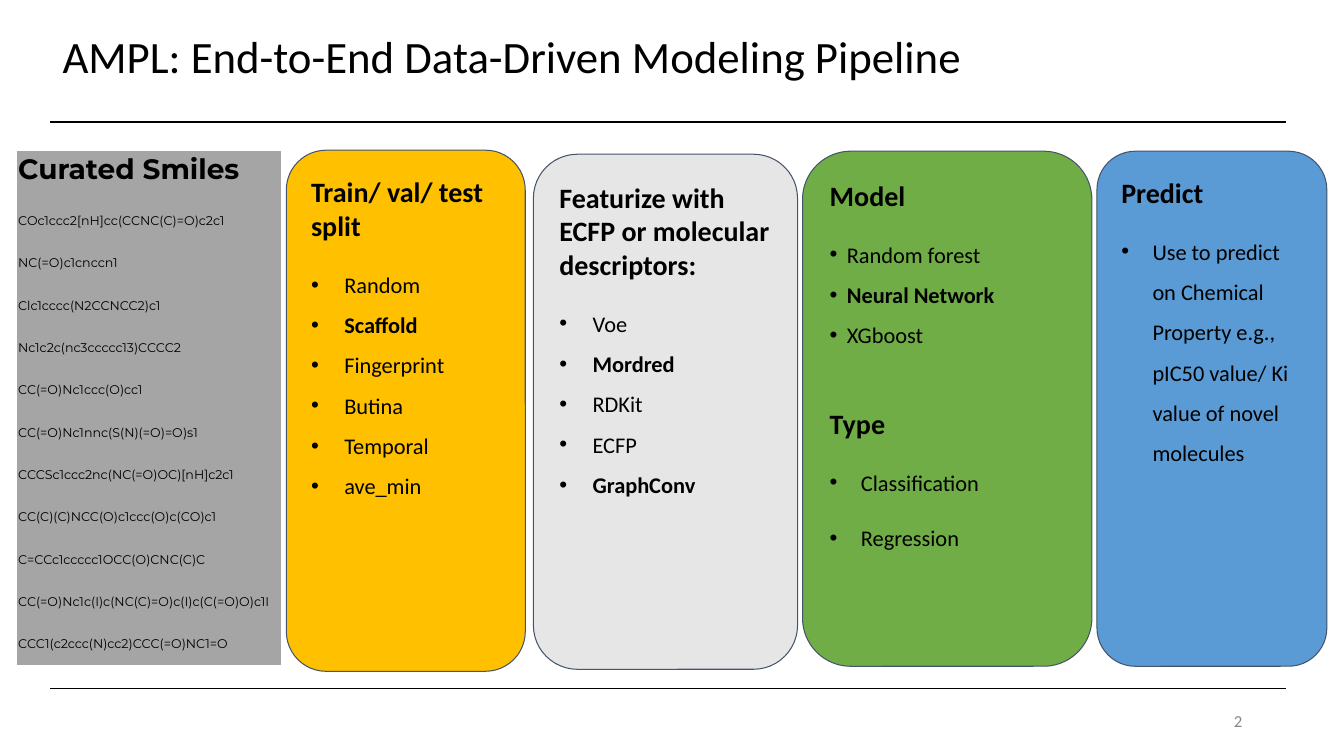
from dataclasses import dataclass

from lxml.etree import SubElement
from pptx import Presentation
from pptx.dml.color import RGBColor
from pptx.enum.shapes import MSO_CONNECTOR, MSO_SHAPE
from pptx.enum.text import MSO_ANCHOR, MSO_AUTO_SIZE, PP_ALIGN
from pptx.oxml.ns import qn
from pptx.util import Inches, Pt


@dataclass(frozen=True)
class Theme:
    """Colours, fonts and type sizes of the slide."""
    font: str = "Calibri"
    smiles_font: str = "Montserrat"
    ink: str = "000000"
    muted: str = "888888"
    outline: str = "44546A"
    smiles_fill: str = "A5A5A5"
    split_fill: str = "FFC000"
    feature_fill: str = "E7E6E6"
    model_fill: str = "70AD47"
    predict_fill: str = "5B9BD5"
    title_size: int = 32
    heading_size: int = 20
    bullet_size: int = 16
    number_size: int = 12
    smiles_size: int = 9


@dataclass(frozen=True)
class Section:
    """A heading with its bullets; bold bullets are listed in strong."""
    heading: str
    bullets: tuple
    indent: float
    strong: tuple = ()
    bullet_gap: int = 0


THEME = Theme()

SMILES = (
    "COc1ccc2[nH]cc(CCNC(C)=O)c2c1",
    "NC(=O)c1cnccn1",
    "Clc1cccc(N2CCNCC2)c1",
    "Nc1c2c(nc3ccccc13)CCCC2",
    "CC(=O)Nc1ccc(O)cc1",
    "CC(=O)Nc1nnc(S(N)(=O)=O)s1",
    "CCCSc1ccc2nc(NC(=O)OC)[nH]c2c1",
    "CC(C)(C)NCC(O)c1ccc(O)c(CO)c1",
    "C=CCc1ccccc1OCC(O)CNC(C)C",
    "CC(=O)Nc1c(I)c(NC(C)=O)c(I)c(C(=O)O)c1I",
    "CCC1(c2ccc(N)cc2)CCC(=O)NC1=O",
)

STAGES = (
    ((2.84, 1.49, 2.37, 5.17), THEME.split_fill, (
        Section("Train/ val/ test split",
                ("Random", "Scaffold", "Fingerprint", "Butina", "Temporal", "ave_min"),
                0.33, ("Scaffold",)),)),
    ((5.29, 1.53, 2.62, 5.11), THEME.feature_fill, (
        Section("Featurize with ECFP or molecular descriptors:",
                ("Voe", "Mordred", "RDKit", "ECFP", "GraphConv"),
                0.33, ("Mordred", "GraphConv")),)),
    ((7.96, 1.5, 2.87, 5.11), THEME.model_fill, (
        Section("Model", ("Random forest", "Neural Network", "XGboost"),
                0.17, ("Neural Network",)),
        Section("Type", ("Classification", "Regression"), 0.31, bullet_gap=11))),
    ((10.88, 1.5, 2.28, 5.11), THEME.predict_fill, (
        Section("Predict",
                ("Use to predict on Chemical Property e.g., pIC50 value/ Ki value "
                 "of novel molecules",), 0.31),)),
)


def style(paragraph, size, bold=False, font=THEME.font, color=THEME.ink):
    """Format the runs of a paragraph."""
    for run in paragraph.runs:
        run.font.name = font
        run.font.size = Pt(size)
        run.font.bold = bold
        run.font.color.rgb = RGBColor.from_string(color)


def set_insets(frame, left, top, right, bottom):
    """Set the inner margins of a text frame or table cell."""
    frame.margin_left, frame.margin_top = Inches(left), Inches(top)
    frame.margin_right, frame.margin_bottom = Inches(right), Inches(bottom)


def add_bullet(paragraph, indent):
    """Give a paragraph a hanging round bullet."""
    properties = paragraph._p.get_or_add_pPr()
    properties.set("marL", str(Inches(indent)))
    properties.set("indent", str(-Inches(indent)))
    bullet_color = SubElement(properties, qn("a:buClr"))
    SubElement(bullet_color, qn("a:srgbClr"), val=THEME.ink)
    SubElement(properties, qn("a:buFont"), typeface="Arial")
    SubElement(properties, qn("a:buChar"), char="•")


def add_title(slide, box, wording):
    """Place the title placeholder in its box."""
    title = slide.shapes.title
    title.left, title.top, title.width, title.height = map(Inches, box)
    frame = title.text_frame
    frame.text = wording
    frame.word_wrap = True
    frame.auto_size = MSO_AUTO_SIZE.NONE
    frame.vertical_anchor = MSO_ANCHOR.MIDDLE
    set_insets(frame, 0.1, 0.05, 0.1, 0.05)
    paragraph = frame.paragraphs[0]
    paragraph.alignment = PP_ALIGN.LEFT
    paragraph.line_spacing = 0.9
    style(paragraph, THEME.title_size)


def add_rule(slide, left, right, y, weight):
    """Draw a horizontal rule across the slide."""
    rule = slide.shapes.add_connector(
        MSO_CONNECTOR.STRAIGHT, Inches(left), Inches(y), Inches(right), Inches(y))
    rule.line.color.rgb = RGBColor.from_string(THEME.ink)
    rule.line.width = Pt(weight)
    SubElement(rule._element.spPr, qn("a:effectLst"))


def add_smiles_table(slide, box, heading, molecules):
    """Fill a one-column table with the curated molecules."""
    entries = (heading, *molecules)
    table = slide.shapes.add_table(len(entries), 1, *map(Inches, box)).table
    table.first_row = table.horz_banding = False
    for row, entry in zip(table.rows, entries):
        row.height = Inches(0.42)
        cell = row.cells[0]
        cell_properties = cell._tc.get_or_add_tcPr()
        for side in ("a:lnL", "a:lnR", "a:lnT", "a:lnB"):
            SubElement(SubElement(cell_properties, qn(side)), qn("a:noFill"))
        cell.fill.solid()
        cell.fill.fore_color.rgb = RGBColor.from_string(THEME.smiles_fill)
        cell.vertical_anchor = MSO_ANCHOR.BOTTOM
        set_insets(cell, 0.01, 0.01, 0.01, 0.13)
        cell.text_frame.text = entry
        is_heading = entry == heading
        style(cell.text_frame.paragraphs[0],
              THEME.heading_size if is_heading else THEME.smiles_size,
              is_heading, THEME.smiles_font)


def add_section(frame, section, is_first):
    """Write a heading and its bullets into a stage's text frame."""
    heading = frame.paragraphs[0] if is_first else frame.add_paragraph()
    heading.text = section.heading
    heading.alignment = PP_ALIGN.LEFT
    if not is_first:
        heading.line_spacing = 0.9
        heading.space_before = Pt(44)
    style(heading, THEME.heading_size, True)
    for position, wording in enumerate(section.bullets):
        bullet = frame.add_paragraph()
        bullet.text = wording
        add_bullet(bullet, section.indent)
        bullet.alignment = PP_ALIGN.LEFT
        bullet.line_spacing = 1.5
        bullet.space_before = Pt(section.bullet_gap if position else 11)
        style(bullet, THEME.bullet_size, wording in section.strong)


def add_stage(slide, box, fill, sections):
    """Draw one rounded pipeline stage with its sections."""
    stage = slide.shapes.add_shape(MSO_SHAPE.ROUNDED_RECTANGLE, *map(Inches, box))
    stage.shadow.inherit = False
    stage.fill.solid()
    stage.fill.fore_color.rgb = RGBColor.from_string(fill)
    stage.line.color.rgb = RGBColor.from_string(THEME.outline)
    stage.line.width = Pt(0.75)
    frame = stage.text_frame
    frame.word_wrap = True
    frame.vertical_anchor = MSO_ANCHOR.TOP
    set_insets(frame, 0.13, 0.13, 0.13, 0.13)
    for section in sections:
        add_section(frame, section, section is sections[0])


def add_slide_number(slide, box, number):
    """Write the slide number at the right of its box."""
    frame = slide.shapes.add_textbox(*map(Inches, box)).text_frame
    frame.text = number
    frame.word_wrap = True
    frame.vertical_anchor = MSO_ANCHOR.MIDDLE
    frame.paragraphs[0].alignment = PP_ALIGN.RIGHT
    style(frame.paragraphs[0], THEME.number_size, color=THEME.muted)


def main():
    """Build the pipeline slide and save it."""
    deck = Presentation()
    deck.slide_width, deck.slide_height = Inches(13.33), Inches(7.5)
    slide = deck.slides.add_slide(deck.slide_layouts[5])
    add_title(slide, (0.52, 0.28, 11.5, 0.61),
              "AMPL: End-to-End Data-Driven Modeling Pipeline")
    add_rule(slide, 0.5, 12.75, 1.21, 1.5)
    add_rule(slide, 0.5, 12.75, 6.83, 0.75)
    add_smiles_table(slide, (0.17, 1.5, 2.62, 5.08), "Curated Smiles", SMILES)
    for box, fill, sections in STAGES:
        add_stage(slide, box, fill, sections)
    add_slide_number(slide, (9.42, 6.95, 3, 0.4), "2")
    deck.save("out.pptx")


if __name__ == "__main__":
    main()
